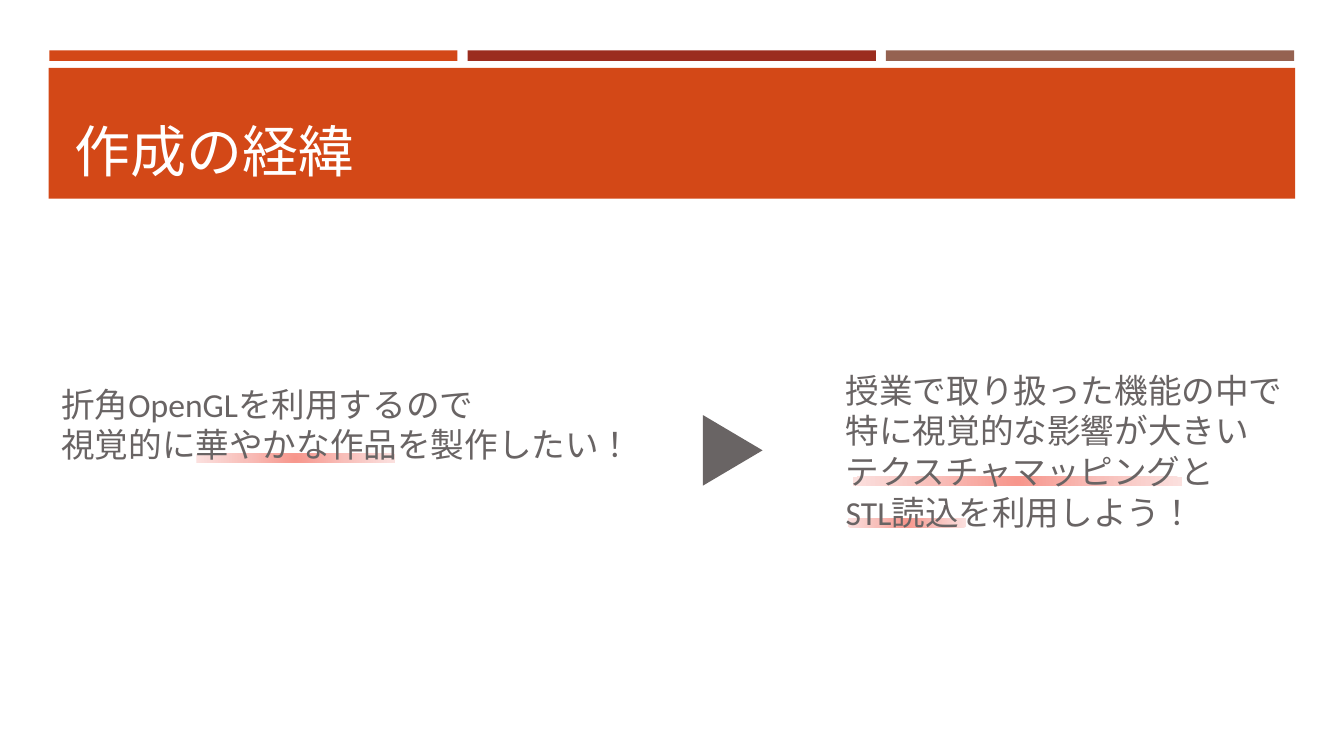
from dataclasses import dataclass

from lxml import etree
from pptx import Presentation
from pptx.dml.color import RGBColor
from pptx.enum.shapes import MSO_SHAPE as SHAPE
from pptx.enum.text import MSO_ANCHOR, MSO_AUTO_SIZE, PP_ALIGN
from pptx.oxml.ns import qn
from pptx.util import Pt


@dataclass(frozen=True)
class Theme:
    orange: str = "D34817"
    red: str = "9B2D1F"
    brown: str = "956251"
    gray: str = "696464"
    white: str = "FFFFFF"
    glow: tuple = ((0, "F7968C"), (50, "F8BFBA"), (100, "FBE0DE"))
    latin: str = "Calibri"
    japanese: str = "Noto Sans CJK JP"
    title_size: int = 40
    body_size: int = 24
    body_pitch: float = 29.2


theme = Theme()


def add_filled(kind, box, color):
    shape = s.shapes.add_shape(kind, *map(Pt, box))
    shape.shadow.inherit = False
    shape.line.fill.background()
    shape.fill.solid()
    shape.fill.fore_color.rgb = RGBColor.from_string(color)
    return shape


def add_run(p, text, size, color, latin):
    """Add a run that names a font for Latin and one for Japanese text."""
    r = p.add_run()
    r.text = text
    r.font.size = Pt(size)
    r.font.color.rgb = RGBColor.from_string(color)
    r.font.name = latin
    rpr = r.font._element
    rpr.set("lang", "ja-JP")
    etree.SubElement(rpr, qn("a:ea"), typeface=theme.japanese)


prs = Presentation()
prs.slide_width, prs.slide_height = Pt(960), Pt(540)
s = prs.slides.add_slide(prs.slide_layouts[5])

# Header bars and title band
for i, color in enumerate((theme.orange, theme.red, theme.brown)):
    add_filled(SHAPE.RECTANGLE, (35.2 + 298.8 * i, 36, 291.6, 7.5), color)
add_filled(SHAPE.RECTANGLE, (34.8, 48.5, 890.4, 93.5), theme.orange)

# Glowing underlines behind the key phrases
for box in ((140.2, 324, 142, 6.6), (609, 340.4, 235.4, 6.6), (605.5, 370, 84.8, 6.6)):
    underline = add_filled(SHAPE.RECTANGLE, box, theme.glow[0][1])
    solid = underline.element.spPr.find(qn("a:solidFill"))
    grad = etree.Element(qn("a:gradFill"), rotWithShape="1")
    stops = etree.SubElement(grad, qn("a:gsLst"))
    for percent, color in theme.glow:
        stop = etree.SubElement(stops, qn("a:gs"), pos=str(percent * 1000))
        etree.SubElement(stop, qn("a:srgbClr"), val=color)
    circle = etree.SubElement(grad, qn("a:path"), path="circle")
    etree.SubElement(circle, qn("a:fillToRect"), dict.fromkeys("ltrb", "50000"))
    solid.getparent().replace(solid, grad)

# Title, brought in front of its band
title = s.shapes.title
title.left, title.top, title.width, title.height = map(Pt, (46, 55.4, 868, 80))
title.element.getparent().append(title.element)
tf = title.text_frame
tf.vertical_anchor = MSO_ANCHOR.BOTTOM
tf.auto_size = MSO_AUTO_SIZE.NONE
p = tf.paragraphs[0]
p.alignment = PP_ALIGN.LEFT
p.line_spacing = 0.9
add_run(p, "作成の経緯", theme.title_size, theme.white, theme.japanese)

# Arrow from motive to decision
arrow = add_filled(SHAPE.ISOSCELES_TRIANGLE, (498.2, 300.4, 50.4, 42.6), theme.gray)
arrow.rotation = 90

# Motive on the left, decision on the right
statements = (
    ((36.7, 270, 486.7, 65.5),
     ("折角OpenGLを利用するので", "視覚的に華やかな作品を製作したい！")),
    ((597, 260, 373, 124),
     ("授業で取り扱った機能の中で", "特に視覚的な影響が大きい",
      "テクスチャマッピングと", "STL読込を利用しよう！")),
)
for box, lines in statements:
    tf = s.shapes.add_textbox(*map(Pt, box)).text_frame
    tf.word_wrap = True
    tf.auto_size = MSO_AUTO_SIZE.SHAPE_TO_FIT_TEXT
    for i, line in enumerate(lines):
        p = tf.add_paragraph() if i else tf.paragraphs[0]
        p.line_spacing = Pt(theme.body_pitch)
        add_run(p, line, theme.body_size, theme.gray, theme.latin)

prs.save("out.pptx")
